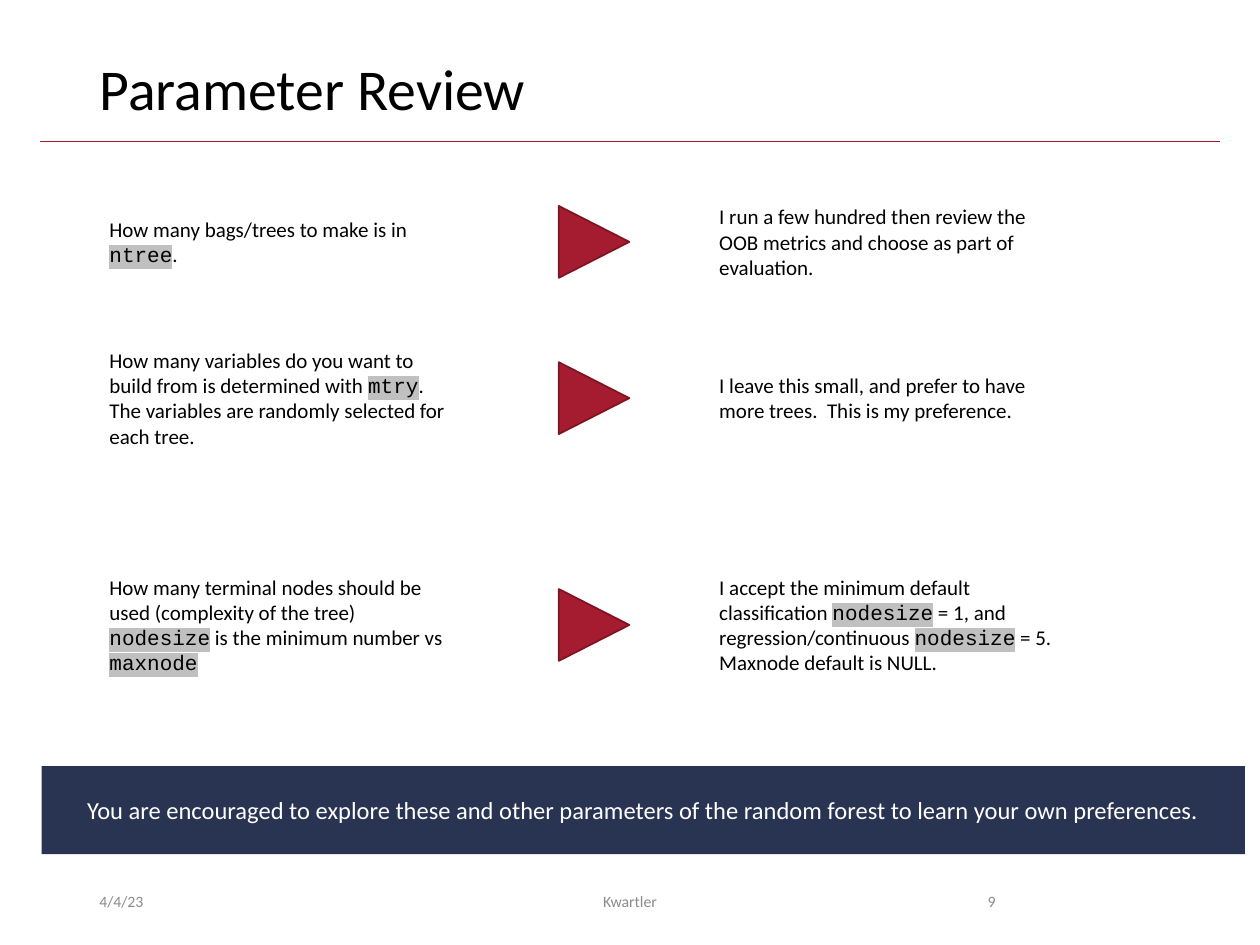
from dataclasses import dataclass

from lxml.etree import SubElement
from pptx import Presentation
from pptx.dml.color import RGBColor as RGB
from pptx.enum.shapes import MSO_CONNECTOR as LINK, MSO_SHAPE as SHAPE
from pptx.enum.text import MSO_ANCHOR as ANCHOR, MSO_AUTO_SIZE as FIT, PP_ALIGN as ALIGN
from pptx.oxml import parse_xml
from pptx.oxml.ns import nsdecls, qn
from pptx.util import Inches, Pt


@dataclass(frozen=True)
class Theme:
    font: str = "Calibri"
    mono: str = "Courier New"
    ink: str = "000000"
    white: str = "FFFFFF"
    grey: str = "8C8C8C"
    mark: str = "C0C0C0"
    red: str = "A51C30"
    edge: str = "7A1524"
    navy: str = "293352"
    title: float = 33
    body: float = 12
    band: float = 14
    foot: float = 9


T = Theme()

# Each row: centre height, question, answer. A text is a list of paragraphs;
# inside a paragraph, code words stand between backticks.
ROWS = [
    (1.92,
     ["How many bags/trees to make is in `ntree`."], 2,
     ["I run a few hundred then review the OOB metrics and choose as part of evaluation."], 3),
    (3.16,
     ["How many variables do you want to build from is determined with `mtry`."
      "  The variables are randomly selected for each tree."], 4,
     ["I leave this small, and prefer to have more trees.  This is my preference."], 2),
    (4.96,
     ["How many terminal nodes should be used (complexity of the tree)",
      "`nodesize` is the minimum number vs `maxnode`"], 4,
     ["I accept the minimum default classification `nodesize` = 1, and "
      "regression/continuous `nodesize` = 5.",
      "Maxnode default is NULL."], 4),
]


def add_run(para, text, size, color, code=False):
    run = para.add_run()
    run.text = text
    font = run.font
    font.size = Pt(size)
    font.color.rgb = RGB.from_string(color)
    font.name = T.mono if code else T.font
    if code:
        mark = parse_xml(f'<a:highlight {nsdecls("a")}><a:srgbClr val="{T.mark}"/></a:highlight>')
        font._element.find(qn("a:solidFill")).addnext(mark)


def fill_text(frame, paras, size, color, align=ALIGN.LEFT, anchor=ANCHOR.MIDDLE):
    frame.word_wrap = True
    frame.vertical_anchor = anchor
    for i, text in enumerate(paras):
        para = frame.add_paragraph() if i else frame.paragraphs[0]
        para.alignment = align
        for j, part in enumerate(text.split("`")):
            if part:
                add_run(para, part, size, color, code=j % 2 == 1)


def add_text(slide, box, paras, size, color, **style):
    frame = slide.shapes.add_textbox(*map(Inches, box)).text_frame
    fill_text(frame, paras, size, color, **style)
    return frame


def add_shape(slide, kind, box, fill, edge=None):
    shape = slide.shapes.add_shape(kind, *map(Inches, box))
    shape.shadow.inherit = False
    shape.fill.solid()
    shape.fill.fore_color.rgb = RGB.from_string(fill)
    if edge:
        shape.line.color.rgb = RGB.from_string(edge)
        shape.line.width = Pt(1)
    else:
        shape.line.fill.background()
    return shape


def add_head(slide, box):
    """Place the title and the rule below it."""
    left, top, width, height = box
    title = slide.shapes.title
    title.left, title.top, title.width, title.height = map(Inches, box)
    fill_text(title.text_frame, ["Parameter Review"], T.title, T.ink)
    title.text_frame.paragraphs[0].line_spacing = 0.9

    y, out = Inches(top + height + 0.07), 0.37
    rule = slide.shapes.add_connector(
        LINK.STRAIGHT, Inches(left - out), y, Inches(left + width + out), y)
    rule.line.color.rgb = RGB.from_string(T.red)
    rule.line.width = Pt(0.5)
    SubElement(rule._element.spPr, qn("a:effectLst"))


def add_row(slide, left, mid, ask, ask_lines, reply, reply_lines):
    """Place question, arrow and answer, all centred on the height mid."""
    wide = 2.91
    for x, paras, lines in ((left, ask, ask_lines), (left + 4.84, reply, reply_lines)):
        tall = 0.1 + 0.2 * lines
        frame = add_text(slide, (x, mid - tall / 2, wide, tall), paras,
                         T.body, T.ink, anchor=ANCHOR.TOP)
        frame.auto_size = FIT.SHAPE_TO_FIT_TEXT
    arrow = add_shape(slide, SHAPE.ISOSCELES_TRIANGLE,
                      (left + 3.66, mid - 0.28, 0.57, 0.56), T.red, T.edge)
    arrow.rotation = 90


def add_band(slide, box):
    band = add_shape(slide, SHAPE.RECTANGLE, box, T.navy)
    text = ("You are encouraged to explore these and other parameters "
            "of the random forest to learn your own preferences.")
    fill_text(band.text_frame, [text], T.band, T.white, align=ALIGN.CENTER)


def add_foot(slide, left, top):
    parts = [(0, 2.25, "4/4/23", ALIGN.LEFT),
             (2.62, 3.38, "Kwartler", ALIGN.CENTER),
             (6.37, 0.94, "9", ALIGN.RIGHT)]
    for x, wide, text, align in parts:
        add_text(slide, (left + x, top, wide, 0.4), [text], T.foot, T.grey, align=align)


def main():
    deck = Presentation()
    deck.slide_width, deck.slide_height = Inches(10), Inches(7.5)
    slide = deck.slides.add_slide(deck.slide_layouts[5])
    add_head(slide, (0.69, 0.4, 8.62, 0.65))
    for row in ROWS:
        add_row(slide, 0.77, *row)
    add_band(slide, (0.33, 6.08, 9.55, 0.7))
    add_foot(slide, 0.69, 6.95)
    deck.save("out.pptx")


if __name__ == "__main__":
    main()
